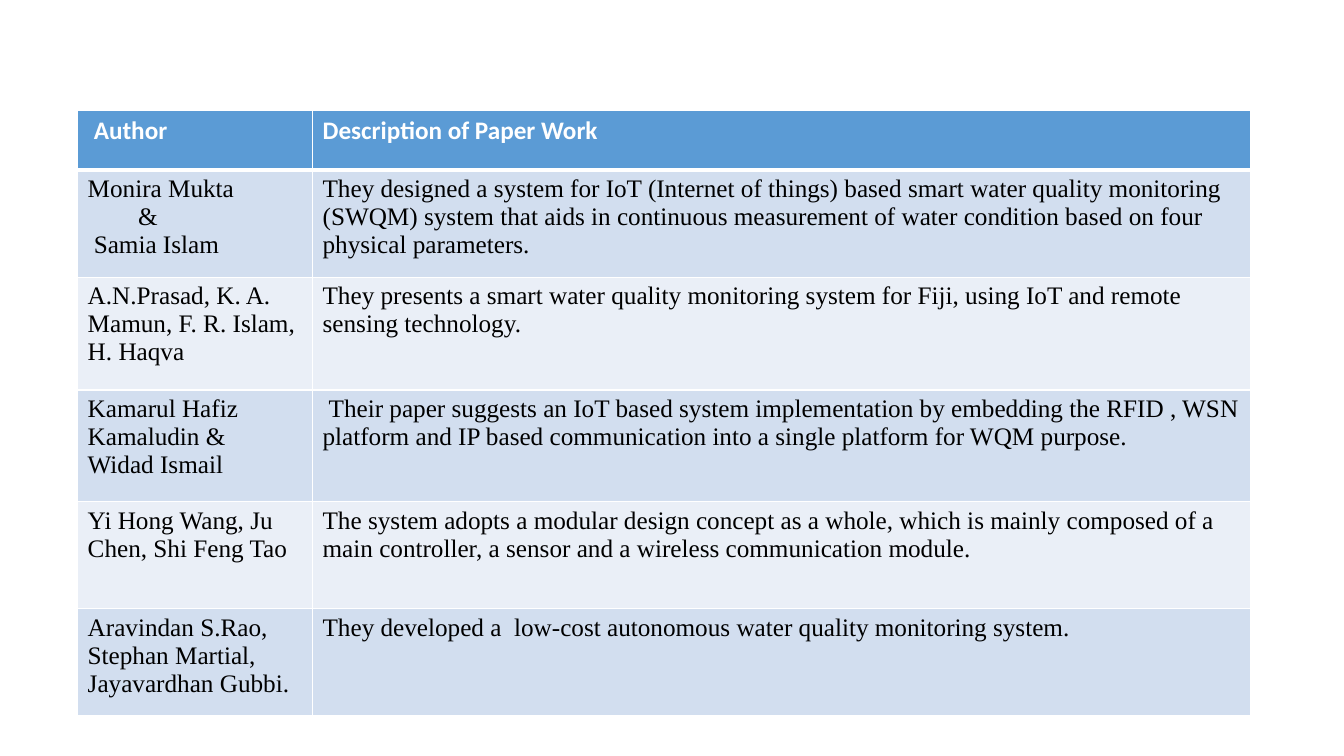
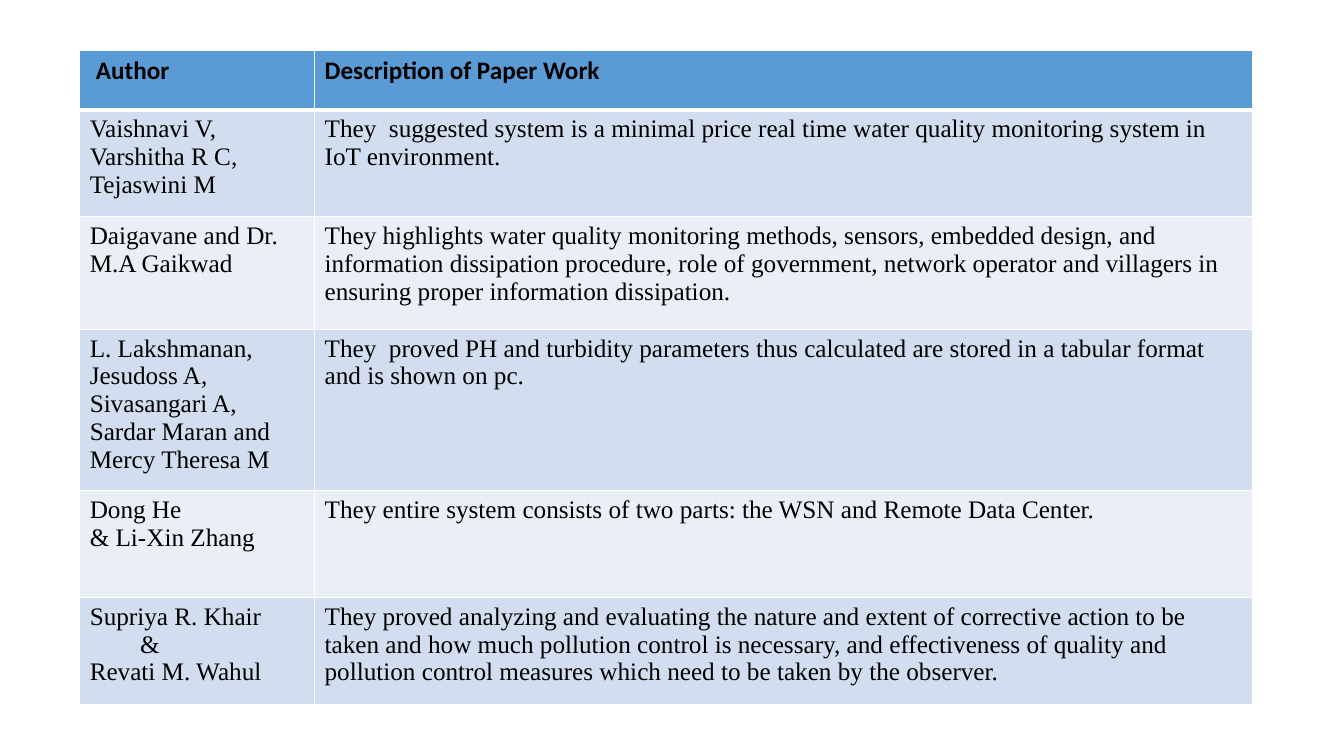
from dataclasses import dataclass

from lxml import etree
from pptx import Presentation
from pptx.dml.color import RGBColor
from pptx.oxml.ns import qn
from pptx.util import Emu, Pt

EMU_PER_PX = 9144  # 100 px to the inch
SLIDE_SIZE = (1333, 750)
BLANK_LAYOUT = 6

WHITE = "FFFFFF"
BLACK = "000000"
HEADER_FILL = "5B9BD5"
BAND_FILLS = ("D2DEEF", "EAEFF7")
HEADER_FONT = "Calibri"
BODY_FONT = "Times New Roman"
TEXT_SIZE = 18

COLUMN_WIDTHS = (233, 930)
HEADER_HEIGHT = 59
THIN_RULE = 1
HEADER_RULE = 3
SPACE_INDENT = 6
AMPERSAND_INDENT = 50


@dataclass(frozen=True)
class Line:
    text: str
    indent: int = 0


@dataclass(frozen=True)
class PaperRow:
    height: int
    authors: tuple[Line, ...]
    description: Line


@dataclass(frozen=True)
class PaperTable:
    left: int
    top: int
    header_color: str
    rows: tuple[PaperRow, ...]


HEADER = PaperRow(
    HEADER_HEIGHT,
    (Line("Author", SPACE_INDENT),),
    Line("Description of Paper Work"),
)

TABLES = (
    PaperTable(77, 110, WHITE, (
        PaperRow(
            106,
            (Line("Monira Mukta"), Line("&", AMPERSAND_INDENT),
             Line("Samia Islam", SPACE_INDENT)),
            Line("They designed a system for IoT (Internet of things) based smart "
                 "water quality monitoring (SWQM) system that aids in continuous "
                 "measurement of water condition based on four physical parameters."),
        ),
        PaperRow(
            112,
            (Line("A.N.Prasad, K. A. Mamun, F. R. Islam, H. Haqva"),),
            Line("They presents a smart water quality monitoring system for Fiji, "
                 "using IoT and remote sensing technology."),
        ),
        PaperRow(
            111,
            (Line("Kamarul Hafiz Kamaludin &"), Line("Widad Ismail")),
            Line("Their paper suggests an IoT based system implementation by "
                 "embedding the RFID , WSN platform and IP based communication "
                 "into a single platform for WQM purpose.", SPACE_INDENT),
        ),
        PaperRow(
            106,
            (Line("Yi Hong Wang, Ju Chen, Shi Feng Tao"),),
            Line("The system adopts a modular design concept as a whole, which is "
                 "mainly composed of a main controller, a sensor and a wireless "
                 "communication module."),
        ),
        PaperRow(
            106,
            (Line("Aravindan S.Rao, Stephan Martial, Jayavardhan Gubbi."),),
            Line("They developed a  low-cost autonomous water quality monitoring "
                 "system."),
        ),
    )),
    PaperTable(79, 50, BLACK, (
        PaperRow(
            106,
            (Line("Vaishnavi V, Varshitha R C, Tejaswini M"),),
            Line("They  suggested system is a minimal price real time water quality "
                 "monitoring system in IoT environment."),
        ),
        PaperRow(
            112,
            (Line("Daigavane and Dr. M.A Gaikwad"),),
            Line("They highlights water quality monitoring methods, sensors, "
                 "embedded design, and information dissipation procedure, role of "
                 "government, network operator and villagers in ensuring proper "
                 "information dissipation."),
        ),
        PaperRow(
            160,
            (Line("L. Lakshmanan, Jesudoss A, Sivasangari A, Sardar Maran and "
                  "Mercy Theresa M"),),
            Line("They  proved PH and turbidity parameters thus calculated are "
                 "stored in a tabular format and is shown on pc."),
        ),
        PaperRow(
            106,
            (Line("Dong He"), Line("& Li-Xin Zhang")),
            Line("They entire system consists of two parts: the WSN and Remote "
                 "Data Center."),
        ),
        PaperRow(
            106,
            (Line("Supriya R. Khair"), Line("&", AMPERSAND_INDENT),
             Line("Revati M. Wahul")),
            Line("They proved analyzing and evaluating the nature and extent of "
                 "corrective action to be taken and how much pollution control is "
                 "necessary, and effectiveness of quality and pollution control "
                 "measures which need to be taken by the observer."),
        ),
    )),
)


def px(length: int) -> Emu:
    return Emu(length * EMU_PER_PX)


def rgb(color: str) -> RGBColor:
    return RGBColor.from_string(color)


def write_text(text_frame, lines: tuple[Line, ...], *, font: str = BODY_FONT,
               color: str = BLACK, bold: bool = False, size: int = TEXT_SIZE) -> None:
    for index, line in enumerate(lines):
        paragraph = text_frame.paragraphs[0] if index == 0 else text_frame.add_paragraph()
        if line.indent:
            # Shifts the first line only, so wrapped lines stay at the margin.
            properties = paragraph._p.get_or_add_pPr()
            properties.set("marL", "0")
            properties.set("indent", str(px(line.indent)))
        run = paragraph.add_run()
        run.text = line.text
        run.font.name = font
        run.font.size = Pt(size)
        run.font.bold = bold
        run.font.color.rgb = rgb(color)


def style_cell(cell, fill: str, top_rule: int, bottom_rule: int) -> None:
    """Set the borders, then the fill, in the order the schema asks for."""
    properties = cell._tc.get_or_add_tcPr()
    rules = {"lnL": THIN_RULE, "lnR": THIN_RULE, "lnT": top_rule, "lnB": bottom_rule}
    for side, width in rules.items():
        border = etree.SubElement(properties, qn(f"a:{side}"), w=str(Pt(width)))
        solid = etree.SubElement(border, qn("a:solidFill"))
        etree.SubElement(solid, qn("a:srgbClr"), val=WHITE)
    cell.fill.solid()
    cell.fill.fore_color.rgb = rgb(fill)


def add_paper_table(slide, paper_table: PaperTable) -> None:
    rows = (HEADER, *paper_table.rows)
    table = slide.shapes.add_table(
        len(rows), len(COLUMN_WIDTHS), px(paper_table.left), px(paper_table.top),
        px(sum(COLUMN_WIDTHS)), px(sum(row.height for row in rows)),
    ).table
    table.first_row = False
    table.horz_banding = False
    for column, width in zip(table.columns, COLUMN_WIDTHS):
        column.width = px(width)

    for index, row in enumerate(rows):
        table.rows[index].height = px(row.height)
        is_header = index == 0
        fill = HEADER_FILL if is_header else BAND_FILLS[(index - 1) % len(BAND_FILLS)]
        text_format = (
            {"font": HEADER_FONT, "color": paper_table.header_color, "bold": True}
            if is_header else {}
        )
        top_rule = HEADER_RULE if index == 1 else THIN_RULE
        bottom_rule = HEADER_RULE if is_header else THIN_RULE
        for column_index, lines in enumerate((row.authors, (row.description,))):
            cell = table.cell(index, column_index)
            style_cell(cell, fill, top_rule, bottom_rule)
            write_text(cell.text_frame, lines, **text_format)


def main() -> None:
    presentation = Presentation()
    presentation.slide_width, presentation.slide_height = map(px, SLIDE_SIZE)
    for paper_table in TABLES:
        slide = presentation.slides.add_slide(presentation.slide_layouts[BLANK_LAYOUT])
        add_paper_table(slide, paper_table)
    presentation.save("out.pptx")


if __name__ == "__main__":
    main()
